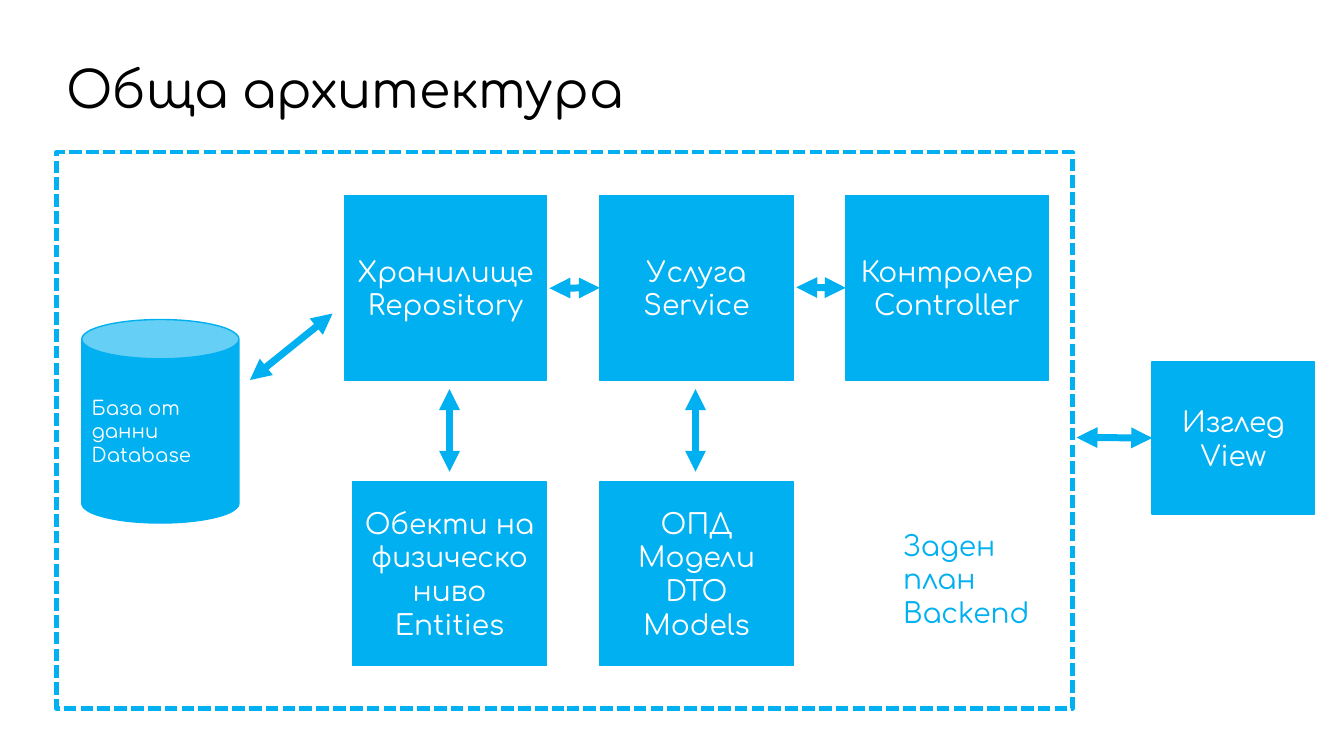
import pptx
import pptx.util
import pptx.dml.color
import pptx.enum.dml
import pptx.enum.shapes
import pptx.enum.text
import pptx.oxml.ns
import lxml.etree

WIDTH = pptx.util.Inches(13.33)
HEIGHT = pptx.util.Inches(7.5)
SKY, WHITE, BLACK = "00B0F0", "FFFFFF", "000000"
FONT = "Comfortaa"
LEFT = pptx.enum.text.PP_ALIGN.LEFT
CENTER = pptx.enum.text.PP_ALIGN.CENTER
RECTANGLE = pptx.enum.shapes.MSO_SHAPE.RECTANGLE
CAN = pptx.enum.shapes.MSO_SHAPE.CAN
LEFT_SIDE = 1

TOP_ROW, TOP_HEIGHT = 25.87, 24.4
BOTTOM_ROW, BOTTOM_HEIGHT = 63.73, 24.27
SERVICE_COLUMN, MODEL_WIDTH = 44.63, 14.4


def across(share):
    return round(WIDTH * share / 100)


def down(share):
    return round(HEIGHT * share / 100)


def area(left, top, width, height):
    return across(left), down(top), across(width), down(height)


def colour(hex_string):
    return pptx.dml.color.RGBColor.from_string(hex_string)


def write(frame, text, size, ink, align=LEFT, anchor=pptx.enum.text.MSO_ANCHOR.MIDDLE):
    frame.text = text
    frame.word_wrap = True
    frame.vertical_anchor = anchor
    for paragraph in frame.paragraphs:
        paragraph.alignment = align
        for run in paragraph.runs:
            run.font.name = FONT
            run.font.size = pptx.util.Pt(size)
            run.font.color.rgb = colour(ink)


def outline(line, points):
    line.color.rgb = colour(SKY)
    line.width = pptx.util.Pt(points)


def add_title(slide, text, place):
    title = slide.shapes.title
    title.left, title.top, title.width, title.height = area(*place)
    write(title.text_frame, text, 36, BLACK)
    title.text_frame.paragraphs[0].line_spacing = 0.9


def add_frame(slide, place):
    frame = slide.shapes.add_shape(RECTANGLE, *area(*place))
    frame.shadow.inherit = False
    frame.fill.background()
    outline(frame.line, 3)
    frame.line.dash_style = pptx.enum.dml.MSO_LINE.SQUARE_DOT


def add_component(slide, text, place, kind=RECTANGLE, size=20, align=CENTER):
    component = slide.shapes.add_shape(kind, *area(*place))
    component.shadow.inherit = False
    component.fill.solid()
    component.fill.fore_color.rgb = colour(SKY)
    outline(component.line, 1)
    write(component.text_frame, text, size, WHITE, align)
    return component


def add_arrow(slide, start, end=(0, 0), target=None):
    arrow = slide.shapes.add_connector(
        pptx.enum.shapes.MSO_CONNECTOR.STRAIGHT,
        across(start[0]), down(start[1]), across(end[0]), down(end[1]))
    if target is not None:
        arrow.end_connect(target, LEFT_SIDE)
    outline(arrow.line, 5)
    properties = arrow._element.spPr
    stroke = properties.find(pptx.oxml.ns.qn("a:ln"))
    for tip in ("a:headEnd", "a:tailEnd"):
        lxml.etree.SubElement(stroke, pptx.oxml.ns.qn(tip), type="triangle")
    lxml.etree.SubElement(properties, pptx.oxml.ns.qn("a:effectLst"))


def add_label(slide, text, place):
    label = slide.shapes.add_textbox(*area(*place))
    write(label.text_frame, text, 20, SKY, anchor=pptx.enum.text.MSO_ANCHOR.TOP)


def main():
    deck = pptx.Presentation()
    deck.slide_width, deck.slide_height = WIDTH, HEIGHT
    slide = deck.slides.add_slide(deck.slide_layouts[5])

    add_title(slide, "Обща архитектура", (4.2, 4, 86.7, 16.27))
    add_frame(slide, (4.2, 20.13, 75.6, 73.6))

    add_component(slide, "База от данни\nDatabase", (6.08, 42.27, 11.7, 26.93), CAN, 14, LEFT)
    add_component(slide, "Хранилище\nRepository", (25.65, TOP_ROW, 15, TOP_HEIGHT))
    service = add_component(
        slide, "Услуга\nService", (SERVICE_COLUMN, TOP_ROW, MODEL_WIDTH, TOP_HEIGHT))
    controller = add_component(
        slide, "Контролер\nController", (62.93, TOP_ROW, 15.08, TOP_HEIGHT))
    add_component(slide, "Обекти на физическо ниво\nEntities",
                  (26.25, BOTTOM_ROW, MODEL_WIDTH, BOTTOM_HEIGHT))
    add_component(slide, "ОПД Модели\nDTO\nModels",
                  (SERVICE_COLUMN, BOTTOM_ROW, MODEL_WIDTH, BOTTOM_HEIGHT))
    view = add_component(slide, "Изглед\nView", (85.73, 47.87, 12.08, 20.13))

    add_arrow(slide, (18.6, 50.27), (24.75, 41.47))
    for column in (33.45, 51.75):
        add_arrow(slide, (column, 62.4), (column, 51.47))
    for start, target in (((40.88, 38.13), service),
                          ((59.25, 38), controller),
                          ((80.1, 57.87), view)):
        add_arrow(slide, start, target=target)

    add_label(slide, "Заден план\nBackend", (66.45, 69.2, 11.55, 14.8))
    deck.save("out.pptx")


if __name__ == "__main__":
    main()
